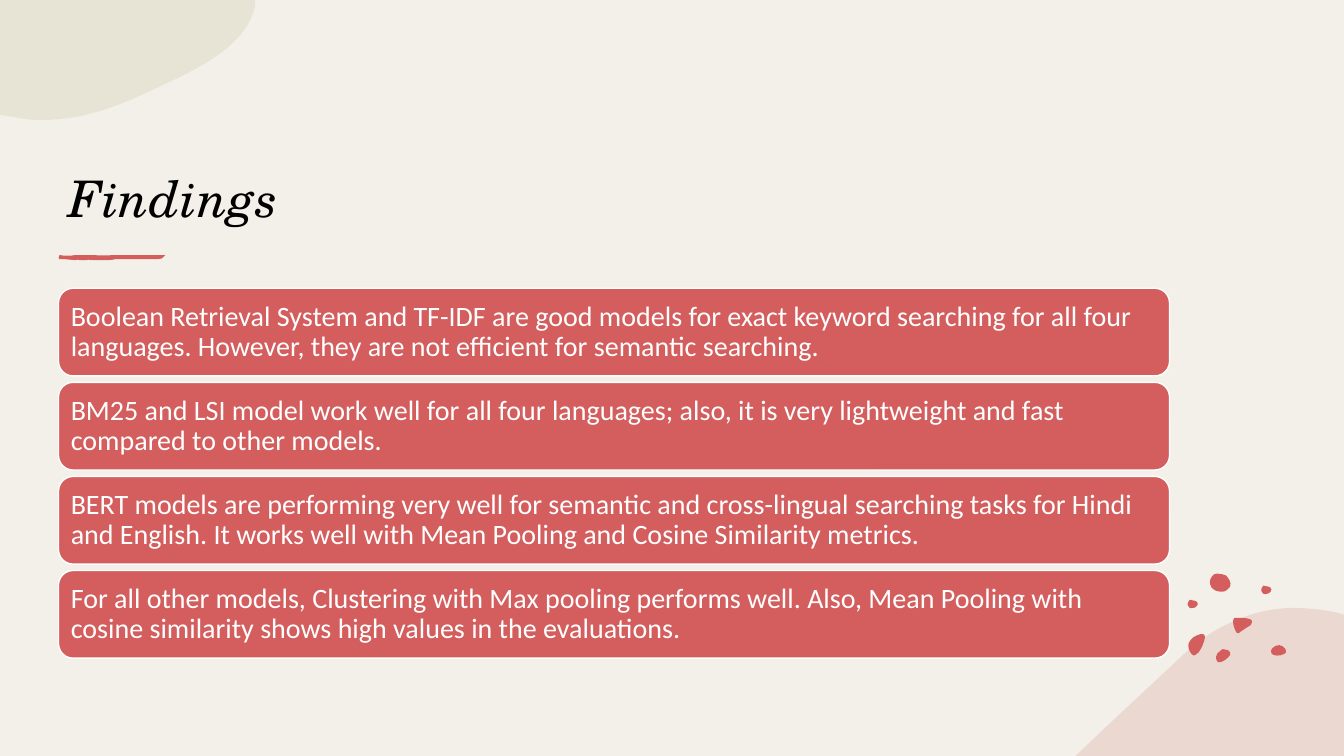
from dataclasses import dataclass

from lxml import etree
from pptx import Presentation
from pptx.dml.color import RGBColor
from pptx.enum.shapes import MSO_SHAPE as Shape
from pptx.enum.text import MSO_ANCHOR as Anchor, PP_ALIGN as Align
from pptx.oxml.ns import qn
from pptx.util import Inches, Pt


@dataclass(frozen=True)
class Theme:
    paper: str = "F3F0E9"
    coral: str = "D45E5E"
    blush: str = "E5C4BA"
    sage: str = "DCD9C3"
    white: str = "FFFFFF"
    black: str = "000000"
    title_font: str = "TeX Gyre Schola"
    body_font: str = "Calibri"
    title_size: int = 36
    body_size: int = 20


theme = Theme()


def write_text(shape, text, *, font, size, color, anchor, italic=False, spacing=1.0, inset=None):
    frame = shape.text_frame
    frame.word_wrap = True
    frame.vertical_anchor = anchor
    if inset is not None:
        frame.margin_left = frame.margin_right = Inches(inset)
        frame.margin_top = frame.margin_bottom = Inches(inset)
    para = frame.paragraphs[0]
    para.alignment = Align.LEFT
    para.line_spacing = spacing
    span = para.add_run()
    span.text = text
    span.font.name = font
    span.font.size = Pt(size)
    span.font.bold = False
    span.font.italic = italic
    span.font.color.rgb = RGBColor.from_string(color)


def draw_outline(page, start, segments, color, opacity=100):
    """Fill an outline; a segment is an end point (2 numbers) or a Bezier curve (6)."""
    builder = page.shapes.build_freeform(Inches(start[0]), Inches(start[1]), scale=1.0)
    ends = [(Inches(segment[-2]), Inches(segment[-1])) for segment in segments]
    builder.add_line_segments(ends, close=True)
    outline = builder.convert_to_shape()
    for node, segment in zip(list(outline.element.iter(qn("a:lnTo"))), segments):
        if len(segment) == 6:
            curve = etree.Element(qn("a:cubicBezTo"))
            for x, y in zip(segment[::2], segment[1::2]):
                point = etree.SubElement(curve, qn("a:pt"))
                point.set("x", str(Inches(x) - outline.left))
                point.set("y", str(Inches(y) - outline.top))
            node.getparent().replace(node, curve)
    outline.shadow.inherit = False
    outline.line.fill.background()
    outline.fill.solid()
    outline.fill.fore_color.rgb = RGBColor.from_string(color)
    if opacity < 100:
        color_node = next(outline.element.iter(qn("a:srgbClr")))
        etree.SubElement(color_node, qn("a:alpha")).set("val", str(opacity * 1000))


deck = Presentation()
deck.slide_width, deck.slide_height = Inches(13.33), Inches(7.5)
page = deck.slides.add_slide(deck.slide_layouts[5])
page.background.fill.solid()
page.background.fill.fore_color.rgb = RGBColor.from_string(theme.paper)

# Corner washes
draw_outline(page, (12.88, 6.03), [
    (13.01, 6.04, 13.14, 6.05, 13.27, 6.08), (13.33, 6.1), (13.33, 7.5), (10.67, 7.5),
    (10.68, 7.49), (11.02, 7.16, 11.37, 6.84, 11.69, 6.54),
    (11.91, 6.32, 12.14, 6.19, 12.37, 6.11), (12.54, 6.05, 12.71, 6.03, 12.88, 6.03),
], theme.blush, opacity=50)
draw_outline(page, (0, 0), [
    (2.53, 0), (2.53, 0.06), (2.45, 0.44, 2, 0.67, 1.58, 0.86),
    (1.23, 1.03, 0.86, 1.19, 0.41, 1.19), (0.31, 1.19, 0.22, 1.18, 0.13, 1.16), (0, 1.14), (0, 0),
], theme.sage, opacity=50)

# Scattered dots
dots = [
    ((12.13, 6.44), [
        (12.15, 6.44, 12.16, 6.44, 12.18, 6.45), (12.2, 6.46, 12.21, 6.48, 12.2, 6.5),
        (12.18, 6.53, 12.12, 6.58, 12.08, 6.57), (12.07, 6.56, 12.06, 6.54, 12.06, 6.52),
        (12.06, 6.5, 12.08, 6.47, 12.1, 6.46), (12.11, 6.45, 12.12, 6.44, 12.13, 6.44)]),
    ((11.91, 6.29), [
        (11.93, 6.29, 11.95, 6.29, 11.95, 6.31), (11.95, 6.32, 11.95, 6.32, 11.95, 6.33),
        (11.94, 6.38, 11.92, 6.43, 11.89, 6.47), (11.87, 6.49, 11.84, 6.52, 11.82, 6.49),
        (11.79, 6.46, 11.78, 6.41, 11.79, 6.38), (11.8, 6.35, 11.82, 6.34, 11.84, 6.32),
        (11.85, 6.32, 11.88, 6.29, 11.91, 6.29)]),
    ((12.69, 6.4), [
        (12.71, 6.4, 12.74, 6.42, 12.75, 6.44), (12.76, 6.46, 12.76, 6.48, 12.73, 6.49),
        (12.7, 6.51, 12.62, 6.51, 12.61, 6.48), (12.6, 6.46, 12.61, 6.44, 12.62, 6.43),
        (12.64, 6.41, 12.66, 6.4, 12.69, 6.4)]),
    ((12.01, 5.81), [
        (12, 5.81, 11.99, 5.75, 12.02, 5.72), (12.04, 5.7, 12.04, 5.69, 12.07, 5.69),
        (12.1, 5.69, 12.14, 5.7, 12.16, 5.71), (12.18, 5.73, 12.22, 5.78, 12.2, 5.82),
        (12.17, 5.85, 12.16, 5.87, 12.12, 5.87), (12.09, 5.87, 12.04, 5.86, 12.03, 5.84),
        (12.01, 5.83, 12.01, 5.82, 12.01, 5.81)]),
    ((12.28, 6.13), [
        (12.34, 6.13, 12.45, 6.13, 12.41, 6.19), (12.41, 6.2, 12.4, 6.21, 12.39, 6.21),
        (12.36, 6.23, 12.33, 6.25, 12.3, 6.27), (12.29, 6.28, 12.28, 6.29, 12.27, 6.28),
        (12.27, 6.28, 12.26, 6.27, 12.26, 6.27), (12.24, 6.23, 12.23, 6.2, 12.23, 6.16),
        (12.23, 6.15, 12.23, 6.14, 12.24, 6.13), (12.24, 6.13, 12.25, 6.13, 12.25, 6.13),
        (12.26, 6.13, 12.27, 6.13, 12.28, 6.13)]),
]
pebble = [
    (0, 0.05, 0, 0.01, 0.02, 0), (0.04, 0, 0.05, 0, 0.07, 0.01),
    (0.08, 0.01, 0.1, 0.02, 0.1, 0.04), (0.1, 0.05, 0.09, 0.07, 0.08, 0.07),
    (0.08, 0.07, 0.08, 0.08, 0.06, 0.08), (0.05, 0.08, 0.03, 0.09, 0.02, 0.08),
    (0.01, 0.06, 0, 0.06, 0, 0.05),
]
for left, top in [(12.51, 5.81), (11.78, 5.95)]:
    moved = [tuple(v + (top if i % 2 else left) for i, v in enumerate(curve)) for curve in pebble]
    dots.append(((left, top + 0.05), moved))
for start, curves in dots:
    draw_outline(page, start, curves, theme.coral)

# Brush stroke under the title, with its loose flecks
draw_outline(page, (0.58, 2.55), [(1.64, 2.55)], theme.coral)
for start, turn in [((0.58, 2.57), (0.6, 2.57)), ((0.6, 2.57), (0.6, 2.57)),
                    ((1.64, 2.53), (1.63, 2.53))]:
    draw_outline(page, start, [start + turn + turn, turn + start + start], theme.coral)
draw_outline(page, (0.86, 2.58), [
    (0.87, 2.57, 0.89, 2.58, 0.9, 2.58), (0.9, 2.57, 0.92, 2.58, 0.92, 2.58),
    (0.94, 2.58, 1.05, 2.58, 1.07, 2.58), (1.09, 2.58, 1.12, 2.58, 1.15, 2.57),
    (1.18, 2.57), (1.24, 2.57), (1.25, 2.57, 1.31, 2.57, 1.33, 2.57),
    (1.35, 2.57, 1.48, 2.57, 1.49, 2.57), (1.57, 2.57),
    (1.63, 2.57, 1.61, 2.54, 1.64, 2.53), (1.61, 2.53, 1.59, 2.53, 1.57, 2.53),
    (1.51, 2.53, 1.38, 2.53, 1.33, 2.53), (1.27, 2.53, 1.17, 2.53, 1.11, 2.53),
    (1.06, 2.54, 0.94, 2.53, 0.88, 2.53), (0.87, 2.53, 0.79, 2.53, 0.75, 2.53),
    (0.7, 2.54, 0.64, 2.54, 0.59, 2.53), (0.58, 2.54, 0.57, 2.58, 0.61, 2.57),
    (0.65, 2.57, 0.71, 2.58, 0.75, 2.58), (0.76, 2.58, 0.78, 2.57, 0.79, 2.58),
    (0.79, 2.58, 0.86, 2.58, 0.86, 2.58),
], theme.coral)

title = page.shapes.title
title.left, title.top, title.width, title.height = map(Inches, (0.58, 0.86, 11.02, 1.45))
write_text(title, "Findings", font=theme.title_font, size=theme.title_size,
           color=theme.black, anchor=Anchor.BOTTOM, italic=True)

findings = [
    "Boolean Retrieval System and TF-IDF are good models for exact keyword searching for all four "
    "languages. However, they are not efficient for semantic searching.",
    "BM25 and LSI model work well for all four languages; also, it is very lightweight and fast "
    "compared to other models.",
    "BERT models are performing very well for semantic and cross-lingual searching tasks for Hindi "
    "and English. It works well with Mean Pooling and Cosine Similarity metrics.",
    "For all other models, Clustering with Max pooling performs well. Also, Mean Pooling with "
    "cosine similarity shows high values in the evaluations.",
]
FIRST_TOP, LAST_TOP = 2.86, 5.66
pitch = (LAST_TOP - FIRST_TOP) / (len(findings) - 1)
for row, finding in enumerate(findings):
    box = page.shapes.add_shape(Shape.ROUNDED_RECTANGLE, Inches(0.58),
                                Inches(FIRST_TOP + row * pitch), Inches(11.02), Inches(0.87))
    box.shadow.inherit = False
    box.fill.solid()
    box.fill.fore_color.rgb = RGBColor.from_string(theme.coral)
    box.line.color.rgb = RGBColor.from_string(theme.white)
    box.line.width = Pt(1)
    write_text(box, finding, font=theme.body_font, size=theme.body_size, color=theme.white,
               anchor=Anchor.MIDDLE, spacing=0.9, inset=0.08)

deck.save("out.pptx")
